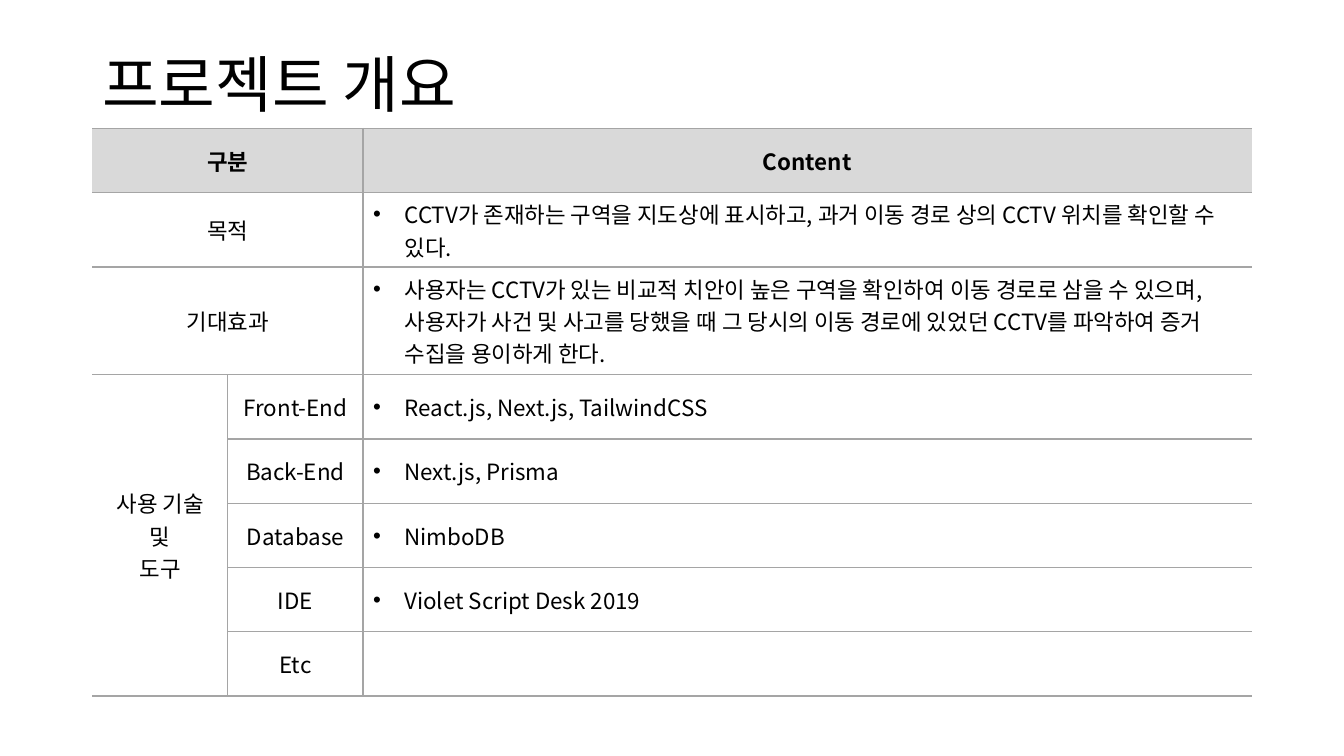
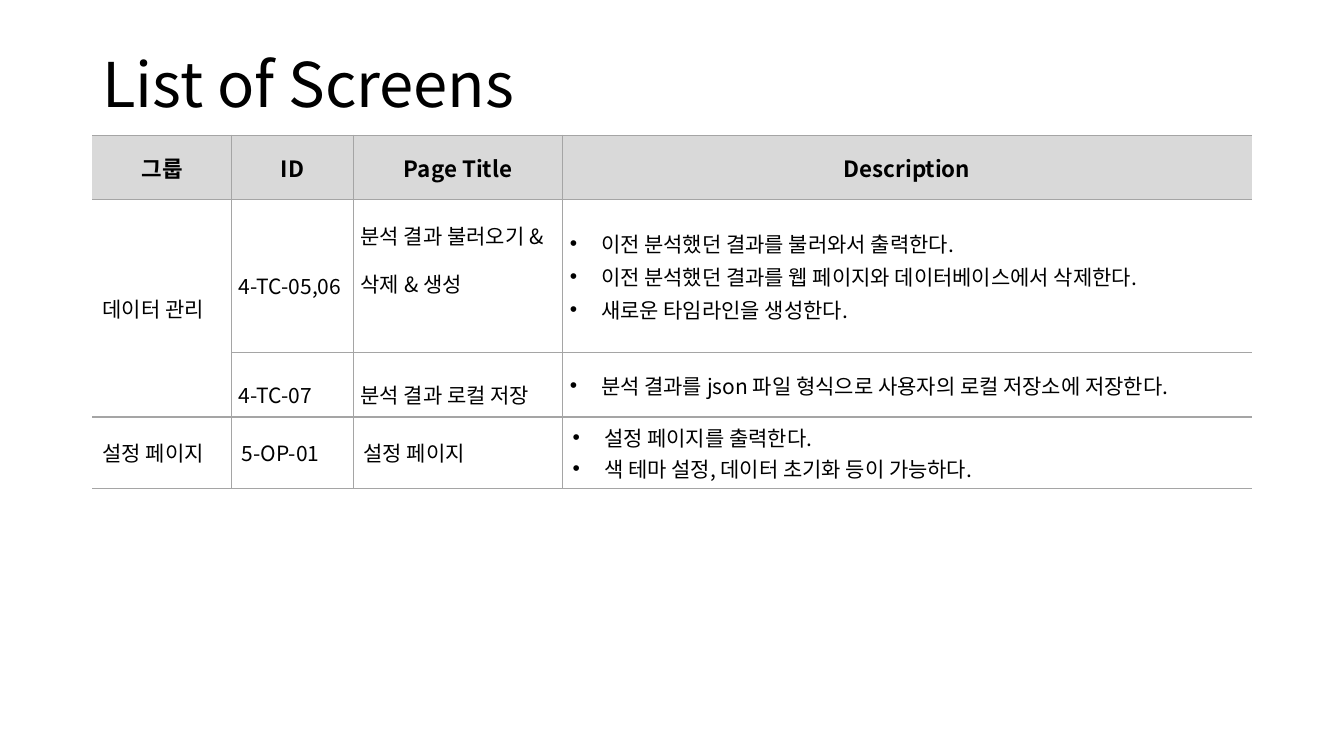
from lxml.etree import SubElement
from pptx import Presentation
from pptx.dml.color import RGBColor
from pptx.enum.text import MSO_ANCHOR, PP_ALIGN
from pptx.oxml.ns import qn
from pptx.util import Cm, Pt

COLORS = {"text": "000000", "header": "D9D9D9", "border": "A5A5A5"}
FONT = "Noto Sans CJK KR"
LEFT, WIDTH = 2.33, 29.21
ROW = 1.62
INDENT = Cm(0.79)

# Text styles: attributes of the paragraph, its font and its cell
MIDDLE = {"vertical_anchor": MSO_ANCHOR.MIDDLE}
TIGHT = MIDDLE | {"margin_left": Cm(0.18), "margin_right": Cm(0.18),
                  "margin_top": Cm(0.05), "margin_bottom": Cm(0.05)}
CENTER = {"alignment": PP_ALIGN.CENTER}
OPEN = {"line_spacing": 1.6, "space_after": Pt(2)}
LARGE, SMALL = {"size": Pt(16)}, {"size": Pt(15)}
STYLES = {
    "title": {"para": {"line_spacing": 0.9}, "font": {"size": Pt(44)}},
    "head": {"para": CENTER, "font": LARGE | {"bold": True}, "cell": MIDDLE},
    "label": {"para": CENTER, "font": LARGE, "cell": MIDDLE},
    "point": {"para": {}, "font": LARGE, "cell": MIDDLE, "bullet": True},
    "plain": {"para": {}, "font": SMALL, "cell": MIDDLE},
    "item": {"para": {}, "font": SMALL, "cell": MIDDLE, "bullet": True},
    "open": {"para": OPEN, "font": SMALL, "cell": TIGHT},
    "open top": {"para": OPEN, "font": SMALL,
                 "cell": TIGHT | {"vertical_anchor": MSO_ANCHOR.TOP}},
    "open item": {"para": {"space_after": Pt(2)}, "font": SMALL,
                  "cell": TIGHT, "bullet": True},
}

# Content: each cell is a style and its lines, None is covered by a merge
PAGES = [
    {
        "title": "프로젝트 개요",
        "top": 3.24,
        "columns": [3.41, 3.41, 22.39],
        "heights": [ROW, 1.87, 2.71] + [ROW] * 5,
        "merges": [(0, 0, 0, 1), (1, 0, 1, 1), (2, 0, 2, 1), (3, 0, 7, 0)],
        "rows": [
            [("head", ["구분"]), None, ("head", ["Content"])],
            [("label", ["목적"]), None,
             ("point", ["CCTV가 존재하는 구역을 지도상에 표시하고, 과거 이동 경로 상의 "
                        "CCTV 위치를 확인할 수 있다."])],
            [("label", ["기대효과"]), None,
             ("point", ["사용자는 CCTV가 있는 비교적 치안이 높은 구역을 확인하여 이동 "
                        "경로로 삼을 수 있으며, 사용자가 사건 및 사고를 당했을 때 그 "
                        "당시의 이동 경로에 있었던 CCTV를 파악하여 증거 수집을 "
                        "용이하게 한다."])],
            [("label", ["사용 기술", "및", "도구"]), ("label", ["Front-End"]),
             ("point", ["React.js, Next.js, TailwindCSS"])],
            [None, ("label", ["Back-End"]), ("point", ["Next.js, Prisma"])],
            [None, ("label", ["Database"]), ("point", ["NimboDB"])],
            [None, ("label", ["IDE"]), ("point", ["Violet Script Desk 2019"])],
            [None, ("label", ["Etc"]), None],
        ],
    },
    {
        "title": "List of Screens",
        "top": 3.41,
        "columns": [3.51, 3.07, 5.27, 17.36],
        "heights": [ROW, 3.86, ROW, 1.8],
        "merges": [(1, 0, 2, 0)],
        "rows": [
            [("head", ["그룹"]), ("head", ["ID"]), ("head", ["Page Title"]),
             ("head", ["Description"])],
            [("plain", ["데이터 관리"]), ("open", ["4-TC-05,06"]),
             ("open top", ["분석 결과 불러오기 & 삭제 & 생성"]),
             ("open item", ["이전 분석했던 결과를 불러와서 출력한다.",
                            "이전 분석했던 결과를 웹 페이지와 데이터베이스에서 삭제한다.",
                            "새로운 타임라인을 생성한다."])],
            [None, ("open", ["4-TC-07"]), ("open", ["분석 결과 로컬 저장"]),
             ("open item", ["분석 결과를 json 파일 형식으로 사용자의 로컬 저장소에 "
                            "저장한다."])],
            [("plain", ["설정 페이지"]), ("plain", ["5-OP-01"]),
             ("plain", ["설정 페이지"]),
             ("item", ["설정 페이지를 출력한다.",
                       "색 테마 설정, 데이터 초기화 등이 가능하다."])],
        ],
    },
]


def write_lines(frame, lines, style):
    """Write one styled paragraph per line."""
    for number, line in enumerate(lines):
        para = frame.add_paragraph() if number else frame.paragraphs[0]
        for name, value in style["para"].items():
            setattr(para, name, value)
        if style.get("bullet"):
            properties = para._p.get_or_add_pPr()
            properties.set("marL", str(INDENT))
            properties.set("indent", str(-INDENT))
            SubElement(properties, qn("a:buFont"), typeface="Arial")
            SubElement(properties, qn("a:buChar"), char="•")
        span = para.add_run()
        span.text = line
        span.font.name = FONT
        span.font.color.rgb = RGBColor.from_string(COLORS["text"])
        for name, value in style["font"].items():
            setattr(span.font, name, value)
        SubElement(span.font._element, qn("a:ea"), typeface=FONT)


def set_borders(cell, open_sides):
    """Draw the cell's edges, leaving the named sides without a line."""
    properties = cell._tc.get_or_add_tcPr()
    for side in ("lnL", "lnR", "lnT", "lnB"):
        line = SubElement(properties, qn(f"a:{side}"), w=str(Pt(1)))
        if side in open_sides:
            SubElement(line, qn("a:noFill"))
        else:
            fill = SubElement(line, qn("a:solidFill"))
            SubElement(fill, qn("a:srgbClr"), val=COLORS["border"])


deck = Presentation()
deck.slide_width, deck.slide_height = Cm(33.87), Cm(19.05)

for content in PAGES:
    page = deck.slides.add_slide(deck.slide_layouts[6])

    # Title
    box = page.shapes.add_textbox(Cm(LEFT), Cm(1.02), Cm(WIDTH), Cm(2.39))
    box.text_frame.word_wrap = True
    box.text_frame.vertical_anchor = MSO_ANCHOR.MIDDLE
    write_lines(box.text_frame, [content["title"]], STYLES["title"])

    # Table grid
    rows, columns, heights = content["rows"], content["columns"], content["heights"]
    table = page.shapes.add_table(
        len(rows), len(columns), Cm(LEFT), Cm(content["top"]),
        Cm(WIDTH), Cm(sum(heights))).table
    table.first_row = table.horz_banding = False
    for column, width in zip(table.columns, columns):
        column.width = Cm(width)
    for row, height in zip(table.rows, heights):
        row.height = Cm(height)
    for top, left, bottom, right in content["merges"]:
        table.cell(top, left).merge(table.cell(bottom, right))

    # Cells: the table is open at its left and right edges
    for row_number, row in enumerate(rows):
        for column_number, entry in enumerate(row):
            cell = table.cell(row_number, column_number)
            open_sides = {0: ["lnL"], len(columns) - 1: ["lnR"]}
            set_borders(cell, open_sides.get(column_number, []))
            if row_number == 0:
                cell.fill.solid()
                cell.fill.fore_color.rgb = RGBColor.from_string(COLORS["header"])
            else:
                cell.fill.background()
            if entry:
                style = STYLES[entry[0]]
                for name, value in style["cell"].items():
                    setattr(cell, name, value)
                write_lines(cell.text_frame, entry[1], style)

deck.save("out.pptx")
